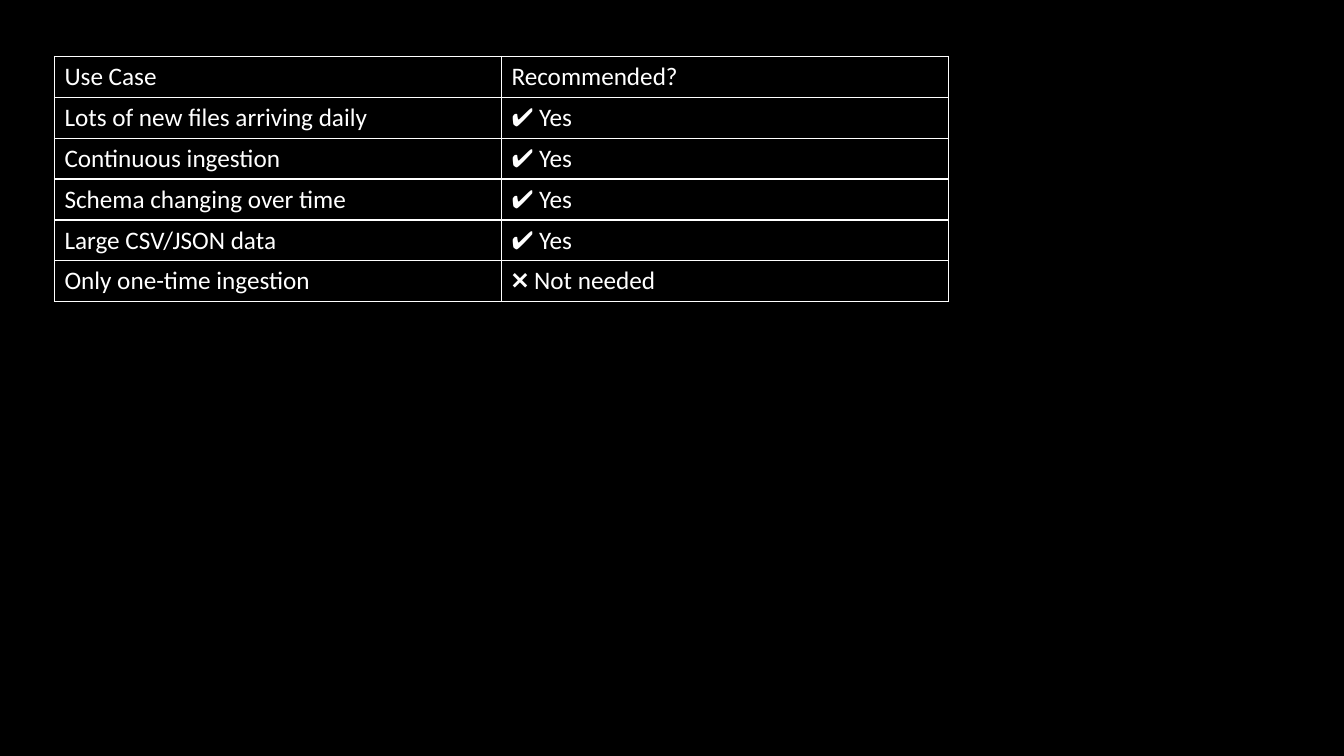
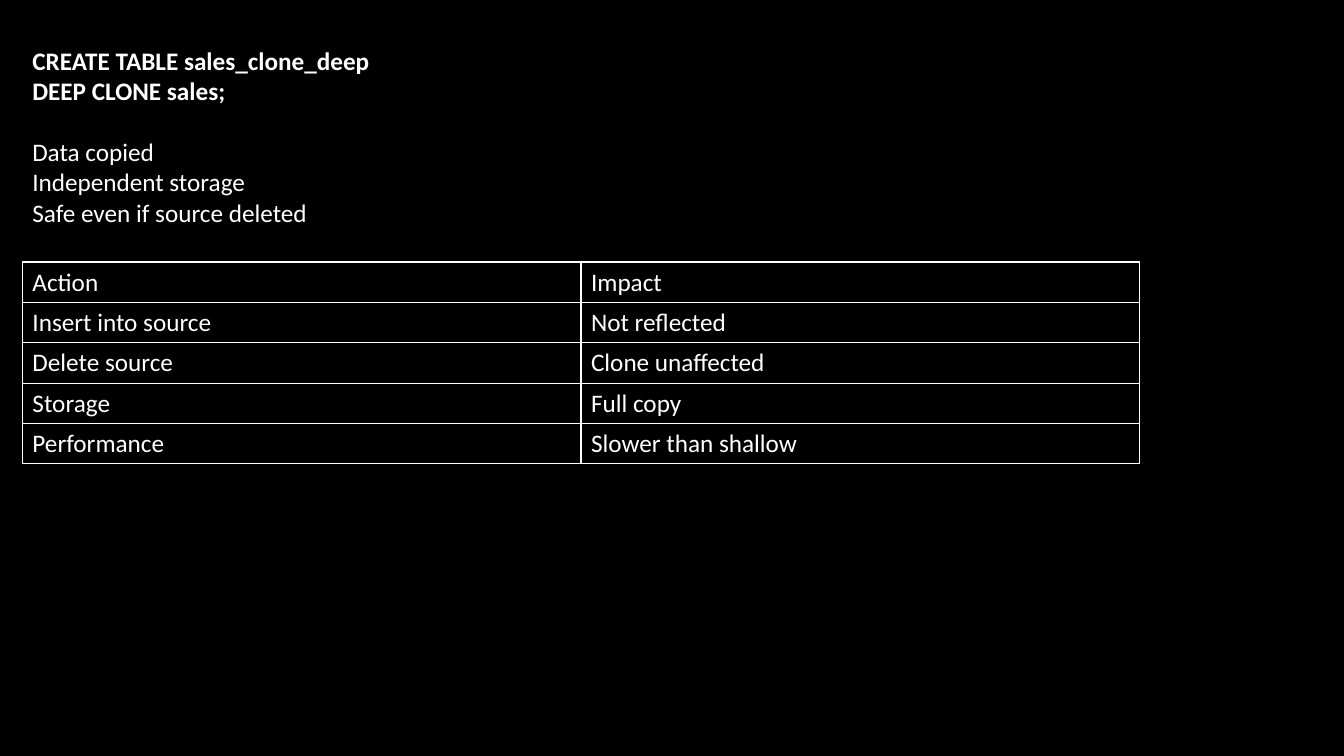
from dataclasses import dataclass

from lxml import etree
from pptx import Presentation
from pptx.dml.color import RGBColor
from pptx.enum.text import MSO_ANCHOR
from pptx.oxml.ns import qn
from pptx.util import Inches, Pt

MIDDLE = MSO_ANCHOR.MIDDLE
SLIDE_WIDTH, SLIDE_HEIGHT = Inches(13.33), Inches(7.5)
GRID_COLUMNS, GRID_ROWS = 120, 75
BLANK_LAYOUT = 6


@dataclass(frozen=True)
class Theme:
    """Colours, font and sizes shared by the slides."""

    background: str = "000000"
    ink: str = "FFFFFF"
    font: str = "Calibri"
    body: int = 18
    paragraph_gap: int = 22
    rule: int = 1


THEME = Theme()

USE_CASES = [
    ("Use Case", "Recommended?"),
    ("Lots of new files arriving daily", "✔ Yes"),
    ("Continuous ingestion", "✔ Yes"),
    ("Schema changing over time", "✔ Yes"),
    ("Large CSV/JSON data", "✔ Yes"),
    ("Only one-time ingestion", "❌ Not needed"),
]
CLONE_STATEMENT = ["CREATE TABLE sales_clone_deep", "DEEP CLONE sales;"]
CLONE_TRAITS = ["Data copied", "Independent storage", "Safe even if source deleted"]
CLONE_IMPACTS = [
    ("Action", "Impact"),
    ("Insert into source", "Not reflected"),
    ("Delete source", "Clone unaffected"),
    ("Storage", "Full copy"),
    ("Performance", "Slower than shallow"),
]


def grid_box(left, top, width, height):
    """Turn grid columns and rows into slide lengths."""
    column, row = SLIDE_WIDTH / GRID_COLUMNS, SLIDE_HEIGHT / GRID_ROWS
    return round(left * column), round(top * row), round(width * column), round(height * row)


def write(paragraph, text, bold=False, size=THEME.body, color=THEME.ink, before=0):
    """Write one formatted line of text into a paragraph."""
    if before:
        paragraph.space_before = Pt(before)
    run = paragraph.add_run()
    run.text = text
    run.font.name = THEME.font
    run.font.size = Pt(size)
    run.font.bold = bold
    run.font.color.rgb = RGBColor.from_string(color)


def rule_cell(cell):
    """Draw a thin line on all four sides of a cell."""
    properties = cell._tc.get_or_add_tcPr()
    for side in ("a:lnL", "a:lnR", "a:lnT", "a:lnB"):
        line = etree.SubElement(properties, qn(side), w=str(Pt(THEME.rule)))
        fill = etree.SubElement(line, qn("a:solidFill"))
        etree.SubElement(fill, qn("a:srgbClr"), val=THEME.ink)


def add_ruled_table(slide, box, records):
    """Fill a box with a ruled table of equal rows and columns."""
    left, top, width, height = box
    row_count, column_count = len(records), len(records[0])
    table = slide.shapes.add_table(row_count, column_count, left, top, width, height).table
    table.first_row = table.horz_banding = False
    for row, record in zip(table.rows, records):
        row.height = height // row_count
        for cell, text in zip(row.cells, record):
            rule_cell(cell)
            cell.fill.background()
            cell.vertical_anchor = MIDDLE
            write(cell.text_frame.paragraphs[0], text)


def add_statement(slide, box, statement, traits):
    """Place a bold statement with its traits below, set off by a gap."""
    frame = slide.shapes.add_textbox(*box).text_frame
    frame.word_wrap = True
    for index, text in enumerate(statement + traits):
        paragraph = frame.add_paragraph() if index else frame.paragraphs[0]
        gap = THEME.paragraph_gap if index == len(statement) else 0
        write(paragraph, text, bold=index < len(statement), before=gap)


def add_use_case_slide(deck):
    """Build the slide on when ingestion is recommended."""
    slide = deck.slides.add_slide(deck.slide_layouts[BLANK_LAYOUT])
    add_ruled_table(slide, grid_box(4.86, 5.6, 79.83, 24.33), USE_CASES)


def add_deep_clone_slide(deck):
    """Build the slide on deep clones and their impact."""
    slide = deck.slides.add_slide(deck.slide_layouts[BLANK_LAYOUT])
    add_statement(slide, grid_box(2, 4, 106, 23.1), CLONE_STATEMENT, CLONE_TRAITS)
    add_ruled_table(slide, grid_box(2, 26, 99.75, 20), CLONE_IMPACTS)


def main():
    """Build and save the deck."""
    deck = Presentation()
    deck.slide_width, deck.slide_height = SLIDE_WIDTH, SLIDE_HEIGHT
    backdrop = deck.slide_master.background.fill
    backdrop.solid()
    backdrop.fore_color.rgb = RGBColor.from_string(THEME.background)
    add_use_case_slide(deck)
    add_deep_clone_slide(deck)
    deck.save("out.pptx")


if __name__ == "__main__":
    main()
